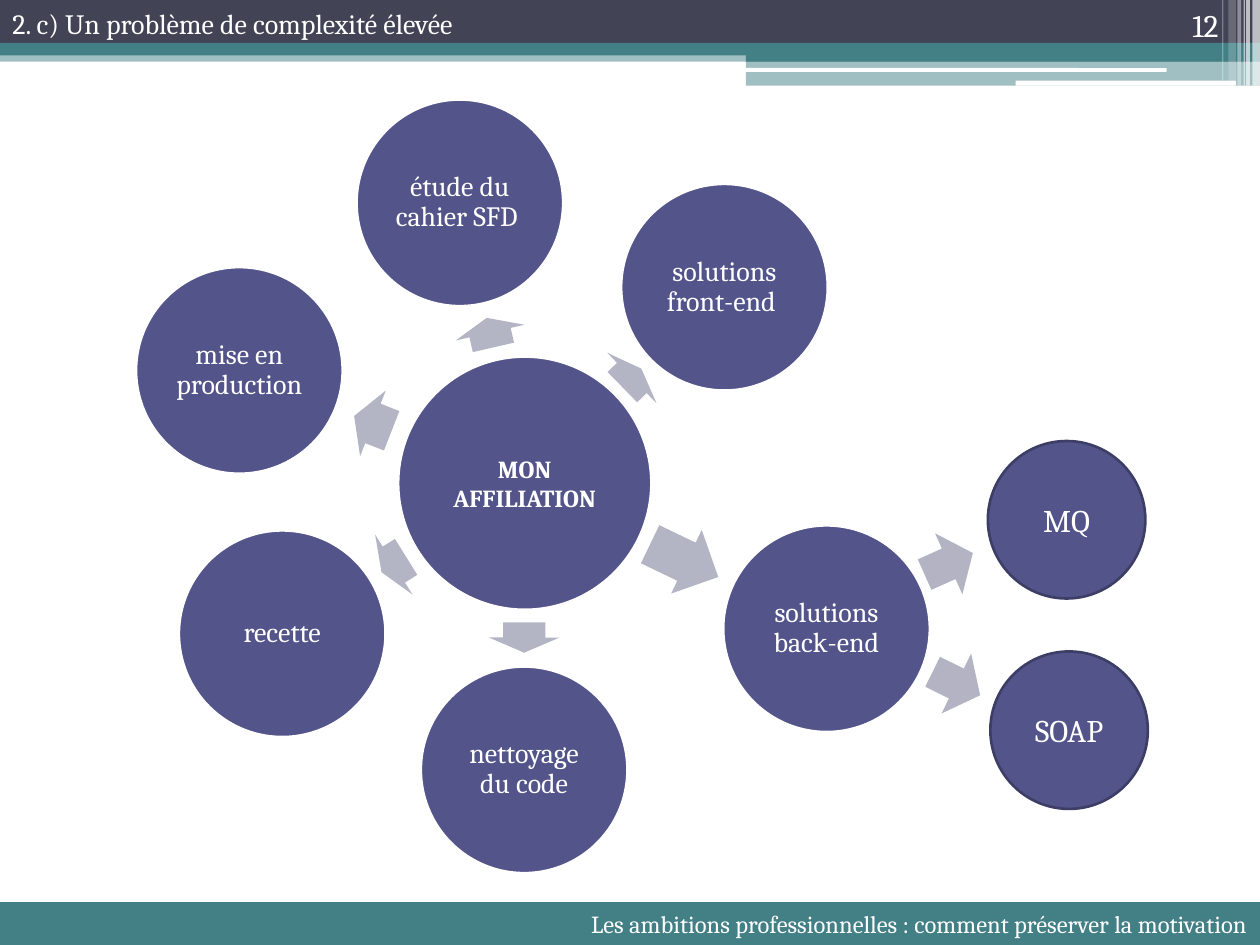
from lxml.etree import SubElement
from pptx import Presentation
from pptx.dml.color import RGBColor
from pptx.enum.shapes import MSO_SHAPE
from pptx.enum.text import MSO_ANCHOR, PP_ALIGN
from pptx.oxml.ns import qn
from pptx.util import Inches, Pt

WHITE, TEAL, SLATE, INDIGO = "FFFFFF", "438086", "424456", "53548A"


def add_shape(kind, left, top, width, height, fill, opacity=100, line=None):
    """Add a preset shape; opacity is in percent, no line colour means no outline."""
    shape = page.shapes.add_shape(
        kind, Inches(left), Inches(top), Inches(width), Inches(height))
    shape.shadow.inherit = False
    shape.fill.solid()
    shape.fill.fore_color.rgb = RGBColor.from_string(fill)
    if opacity < 100:
        color = shape.fill._xPr.find(qn("a:solidFill"))[0]
        SubElement(color, qn("a:alpha"), val=str(opacity * 1000))
    if line:
        shape.line.color.rgb = RGBColor.from_string(line)
        shape.line.width = Pt(1.5)
    else:
        shape.line.fill.background()
    return shape


def write(shape, text, size, align, anchor=MSO_ANCHOR.MIDDLE, margin=None, bold=False):
    """Put one white paragraph in a shape; margin is in inches on all sides."""
    frame = shape.text_frame
    frame.word_wrap = True
    frame.vertical_anchor = anchor
    if margin is not None:
        frame.margin_left = frame.margin_right = Inches(margin)
        frame.margin_top = frame.margin_bottom = Inches(margin)
    paragraph = frame.paragraphs[0]
    paragraph.text = text
    paragraph.alignment = align
    font = paragraph.font
    font.name, font.size, font.bold = "Cambria", Pt(size), bold
    font.color.rgb = RGBColor.from_string(WHITE)
    return paragraph


deck = Presentation()
deck.slide_width, deck.slide_height = Inches(10), Inches(7.5)
page = deck.slides.add_slide(deck.slide_layouts[6])

# Header bands
for left, top, width, height, fill, opacity in [
    (0, 0.4, 10, 0.09, TEAL, 50),
    (0, 0, 10, 0.34, SLATE, 100),
    (0, 0.34, 10, 0.1, TEAL, 100),
    (5.92, 0.39, 4.08, 0.1, TEAL, 100),
    (5.92, 0.48, 4.08, 0.2, TEAL, 50),
]:
    add_shape(MSO_SHAPE.RECTANGLE, left, top, width, height, fill, opacity)
for left, top, width, height in [(5.91, 0.54, 3.35, 0.03), (8.06, 0.64, 1.75, 0.04)]:
    add_shape(MSO_SHAPE.ROUNDED_RECTANGLE, left, top, width, height, WHITE)

# Translucent stripes in the header corner
for left, width, height, opacity in [
    (9.94, 0.06, 0.68, 65), (9.89, 0.03, 0.68, 65), (9.87, 0.01, 0.68, 60),
    (9.82, 0.03, 0.68, 40), (9.75, 0.06, 0.64, 20), (9.7, 0.01, 0.64, 30),
]:
    add_shape(MSO_SHAPE.RECTANGLE, left, 0, width, height, WHITE, opacity)

# Page number, footer and title
number = page.shapes.add_textbox(Inches(8.94), 0, Inches(0.83), Inches(0.4))
write(number, "12", 18, PP_ALIGN.RIGHT, MSO_ANCHOR.BOTTOM)
footer = add_shape(MSO_SHAPE.RECTANGLE, 0, 7.16, 10, 0.34, TEAL)
write(footer, "Les ambitions professionnelles : comment préserver la motivation",
      14, PP_ALIGN.RIGHT)
title = page.shapes.add_textbox(0, 0, Inches(5.75), Inches(0.37))
write(title, "2. c) Un problème de complexité élevée", 16, PP_ALIGN.LEFT, MSO_ANCHOR.TOP)

# Hub and its satellites
hub = add_shape(MSO_SHAPE.OVAL, 3.16, 2.83, 2.01, 2.01, INDIGO, line=WHITE)
write(hub, "MON AFFILIATION", 14, PP_ALIGN.CENTER, margin=0, bold=True)
for text, left, top in [
    ("étude du cahier SFD ", 2.83, 0.79),
    ("solutions front-end ", 4.93, 1.46),
    ("solutions back-end", 5.74, 4.17),
    ("nettoyage du code", 3.34, 5.29),
    ("recette", 1.42, 4.21),
    ("mise en production", 1.08, 2.12),
]:
    satellite = add_shape(MSO_SHAPE.OVAL, left, top, 1.64, 1.64, INDIGO, line=WHITE)
    label = write(satellite, text, 16, PP_ALIGN.CENTER, margin=0.02)
    label.line_spacing = 0.9

# Arrows: from the hub, then from the back-end circle
for left, top, width, height, angle, shaft, fill in [
    (3.77, 2.36, 0.24, 0.56, 257.1, 0.6, "B3B4C4"),
    (4.91, 2.72, 0.21, 0.56, 315.6, 0.6, "B3B4C4"),
    (5.13, 4.17, 0.6, 0.56, 25.7, 0.6, "B3B4C4"),
    (4.04, 4.78, 0.24, 0.56, 90.1, 0.6, "B3B4C4"),
    (3.01, 4.2, 0.23, 0.56, 148.1, 0.6, "B3B4C4"),
    (2.8, 3.08, 0.32, 0.56, 201.4, 0.6, "B3B4C4"),
    (7.32, 4.21, 0.42, 0.53, 335.9, 0.5, "B3B3C4"),
    (7.38, 5.16, 0.42, 0.53, 26.3, 0.5, "B3B3C4"),
]:
    arrow = add_shape(MSO_SHAPE.RIGHT_ARROW, left, top, width, height, fill)
    arrow.adjustments[0] = shaft
    arrow.rotation = angle

# Back-end technologies
for text, left, top in [("SOAP", 7.86, 5.17), ("MQ", 7.84, 3.5)]:
    technology = add_shape(MSO_SHAPE.OVAL, left, top, 1.25, 1.25, INDIGO, line="3D3E66")
    write(technology, text, 18, PP_ALIGN.CENTER)

deck.save("out.pptx")
